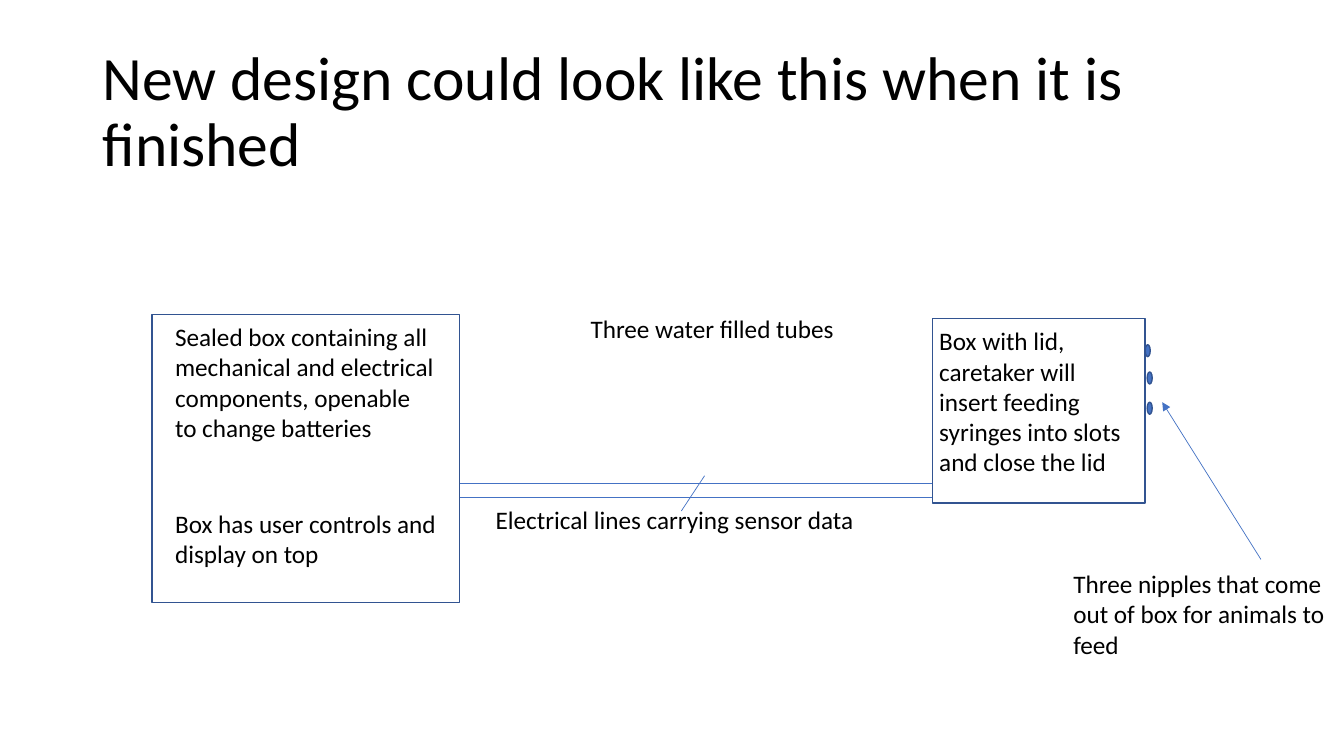
import pptx
import pptx.dml.color
import pptx.enum.shapes
import pptx.enum.text
import pptx.oxml.ns
import pptx.util
from lxml import etree

Pt = pptx.util.Pt
SHAPES = pptx.enum.shapes.MSO_SHAPE
TEXT = pptx.enum.text


def colour(value):
    return pptx.dml.color.RGBColor.from_string(value)


class Sketch:
    """Style and current slide, with one method per kind of element."""

    font = "Calibri"
    ink = "000000"
    blue = "4472C4"
    outline = "325491"

    def __init__(self, page):
        self.page = page

    def style(self, para, size):
        para.alignment = TEXT.PP_ALIGN.LEFT
        para.font.name = self.font
        para.font.size = Pt(size)
        para.font.color.rgb = colour(self.ink)

    def title(self, text, left, top, width, height):
        box = self.page.shapes.title
        box.left, box.top, box.width, box.height = map(Pt, (left, top, width, height))
        frame = box.text_frame
        frame.text = text
        frame.word_wrap = True
        frame.auto_size = TEXT.MSO_AUTO_SIZE.NONE
        frame.vertical_anchor = TEXT.MSO_ANCHOR.MIDDLE
        para = frame.paragraphs[0]
        para.line_spacing = 0.9
        self.style(para, 44)

    def label(self, text, left, top, width, height):
        box = self.page.shapes.add_textbox(*map(Pt, (left, top, width, height)))
        frame = box.text_frame
        frame.text = text
        frame.word_wrap = True
        frame.auto_size = TEXT.MSO_AUTO_SIZE.SHAPE_TO_FIT_TEXT
        self.style(frame.paragraphs[0], 18)

    def shape(self, kind, left, top, width, height, fill=None):
        shape = self.page.shapes.add_shape(kind, *map(Pt, (left, top, width, height)))
        shape.shadow.inherit = False
        if fill:
            shape.fill.solid()
            shape.fill.fore_color.rgb = colour(fill)
        else:
            shape.fill.background()
        shape.line.color.rgb = colour(self.outline)
        shape.line.width = Pt(1)

    def line(self, x1, y1, x2, y2, arrow=False):
        line = self.page.shapes.add_connector(
            pptx.enum.shapes.MSO_CONNECTOR.STRAIGHT, *map(Pt, (x1, y1, x2, y2)))
        line.line.color.rgb = colour(self.blue)
        line.line.width = Pt(0.5)
        qn = pptx.oxml.ns.qn
        properties = line._element.spPr
        if arrow:
            etree.SubElement(properties.find(qn("a:ln")), qn("a:tailEnd"), type="triangle")
        etree.SubElement(properties, qn("a:effectLst"))


def main():
    deck = pptx.Presentation()
    deck.slide_width, deck.slide_height = Pt(960), Pt(540)
    sketch = Sketch(deck.slides.add_slide(deck.slide_layouts[5]))
    sketch.title("New design could look like this when it is finished", 66, 28.8, 828, 104.4)

    # Sealed control box
    box_right = 328.3
    sketch.shape(SHAPES.RECTANGLE, 108.7, 224.6, box_right - 108.7, 206)
    sketch.label("Sealed box containing all mechanical and electrical components, "
                 "openable to change batteries", 118, 226, 201.6, 94.5)
    sketch.label("Box has user controls and display on top", 118, 359.3, 201.6, 51)
    sketch.label("Three water filled tubes", 414.7, 220.3, 195, 29)

    # Feeding box with its nipples
    feeder_left = 666
    sketch.shape(SHAPES.RECTANGLE, feeder_left, 227.5, 152, 131.8)
    for left, top in ((818, 246.2), (819.4, 265.7), (819.4, 287.3)):
        sketch.shape(SHAPES.OVAL, left, top, 3.6, 8.6, sketch.blue)
    sketch.label("Box with lid, caretaker will insert feeding syringes into slots "
                 "and close the lid", 663.8, 229, 154.8, 116.6)

    # Sensor lines between the boxes
    for y in (345.6, 355):
        sketch.line(feeder_left, y, box_right, y)
    sketch.line(503.3, 339.8, 486.7, 365)
    sketch.label("Electrical lines carrying sensor data", 347, 357, 273.6, 29)

    # Pointer to the nipples
    sketch.line(900.7, 399.6, 830.2, 287.3, arrow=True)
    sketch.label("Three nipples that come out of box for animals to feed", 759.6, 402.5, 195, 72.7)

    deck.save("out.pptx")


if __name__ == "__main__":
    main()
